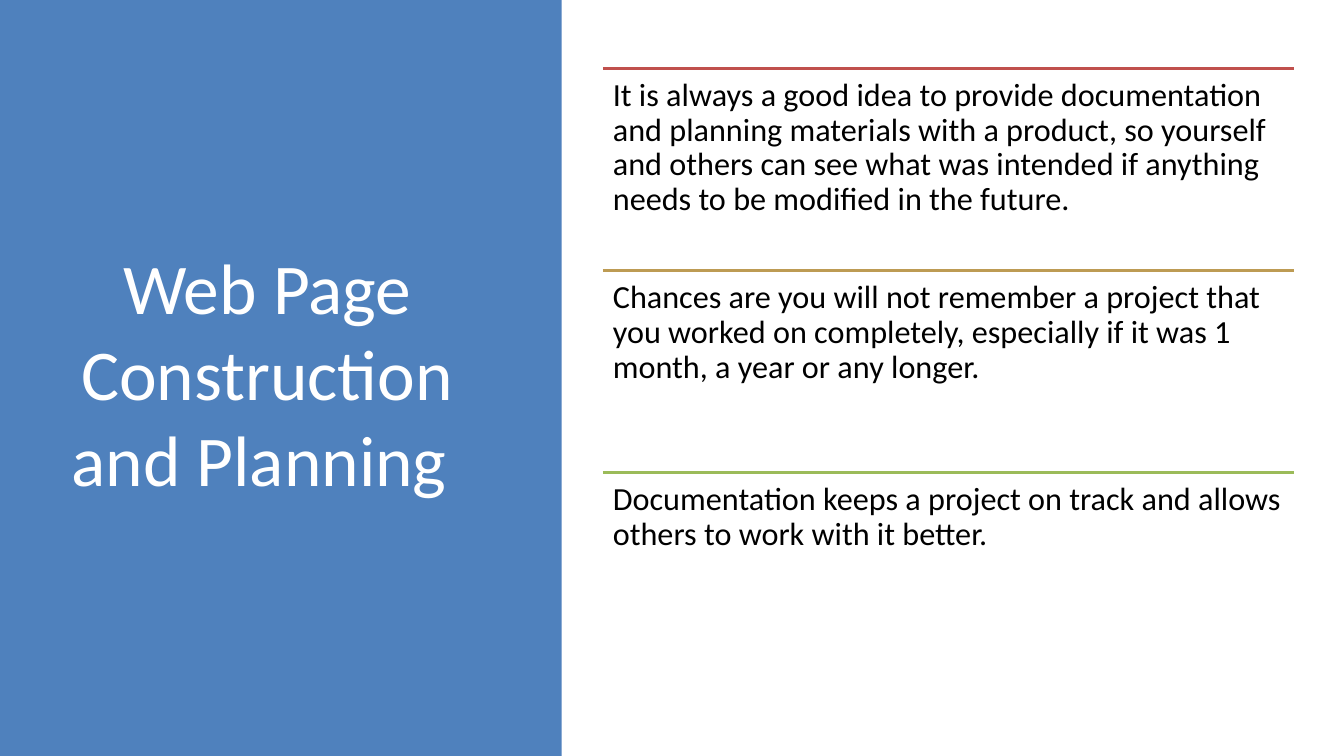
from dataclasses import dataclass
from lxml import etree
from pptx import Presentation
from pptx.dml.color import RGBColor
from pptx.enum.shapes import MSO_CONNECTOR, MSO_SHAPE
from pptx.enum.text import MSO_ANCHOR, MSO_AUTO_SIZE, PP_ALIGN
from pptx.oxml.ns import qn
from pptx.util import Inches, Pt


@dataclass(frozen=True)
class Theme:
    font: str = "Calibri"
    panel: str = "4F81BD"
    heading: str = "FFFFFF"
    body: str = "000000"
    rules: tuple = ("C0504D", "BD9B53", "9BBB59")
    heading_size: int = 51
    body_size: int = 23
    rule_width: int = 2


THEME = Theme()
WIDTH, HEIGHT = 13.33, 7.5
PANEL_WIDTH = 5.57
TITLE_BOX = (0.57, 0.68, 4.16, 6.02)
COLUMN_LEFT, COLUMN_WIDTH = 5.98, 6.85
FIRST_ROW, ROW_PITCH, ROW_HEIGHT = 0.68, 2.005, 2.0

HEADING = "Web Page Construction and Planning "
POINTS = (
    "It is always a good idea to provide documentation and planning materials "
    "with a product, so yourself and others can see what was intended if "
    "anything needs to be modified in the future.",
    "Chances are you will not remember a project that you worked on "
    "completely, especially if it was 1 month, a year or any longer.",
    "Documentation keeps a project on track and allows others to work with "
    "it better.",
)


def write(frame, text, *, size, color, align=PP_ALIGN.LEFT,
          anchor=MSO_ANCHOR.TOP, spacing=1.0, after=0):
    frame.word_wrap = True
    frame.auto_size = MSO_AUTO_SIZE.NONE
    frame.vertical_anchor = anchor
    frame.margin_left = frame.margin_right = Inches(0.1)
    frame.margin_top = frame.margin_bottom = Inches(0.1)
    paragraph = frame.paragraphs[0]
    paragraph.alignment = align
    paragraph.line_spacing = spacing
    paragraph.space_after = Pt(after)
    run = paragraph.add_run()
    run.text = text
    run.font.name = THEME.font
    run.font.size = Pt(size)
    run.font.color.rgb = RGBColor.from_string(color)


def add_panel(slide):
    panel = slide.shapes.add_shape(
        MSO_SHAPE.RECTANGLE, 0, 0, Inches(PANEL_WIDTH), Inches(HEIGHT))
    panel.shadow.inherit = False
    panel.fill.solid()
    panel.fill.fore_color.rgb = RGBColor.from_string(THEME.panel)
    panel.line.fill.background()
    slide.shapes.title._element.addprevious(panel._element)


def place_heading(slide):
    heading = slide.shapes.title
    heading.left, heading.top, heading.width, heading.height = map(
        Inches, TITLE_BOX)
    write(heading.text_frame, HEADING, size=THEME.heading_size,
          color=THEME.heading, align=PP_ALIGN.CENTER,
          anchor=MSO_ANCHOR.MIDDLE)


def add_rule(slide, top, color):
    rule = slide.shapes.add_connector(
        MSO_CONNECTOR.STRAIGHT, Inches(COLUMN_LEFT), Inches(top),
        Inches(COLUMN_LEFT + COLUMN_WIDTH), Inches(top))
    rule.line.color.rgb = RGBColor.from_string(color)
    rule.line.width = Pt(THEME.rule_width)
    etree.SubElement(rule._element.spPr, qn("a:effectLst"))


def add_point(slide, top, text):
    point = slide.shapes.add_textbox(
        Inches(COLUMN_LEFT), Inches(top),
        Inches(COLUMN_WIDTH), Inches(ROW_HEIGHT))
    write(point.text_frame, text, size=THEME.body_size, color=THEME.body,
          spacing=0.9, after=0.35 * THEME.body_size)


def main():
    deck = Presentation()
    deck.slide_width, deck.slide_height = Inches(WIDTH), Inches(HEIGHT)
    slide = deck.slides.add_slide(deck.slide_layouts.get_by_name("Title Only"))
    add_panel(slide)
    place_heading(slide)
    for row, (text, color) in enumerate(zip(POINTS, THEME.rules)):
        top = FIRST_ROW + row * ROW_PITCH
        add_rule(slide, top, color)
        add_point(slide, top, text)
    deck.save("out.pptx")


if __name__ == "__main__":
    main()
